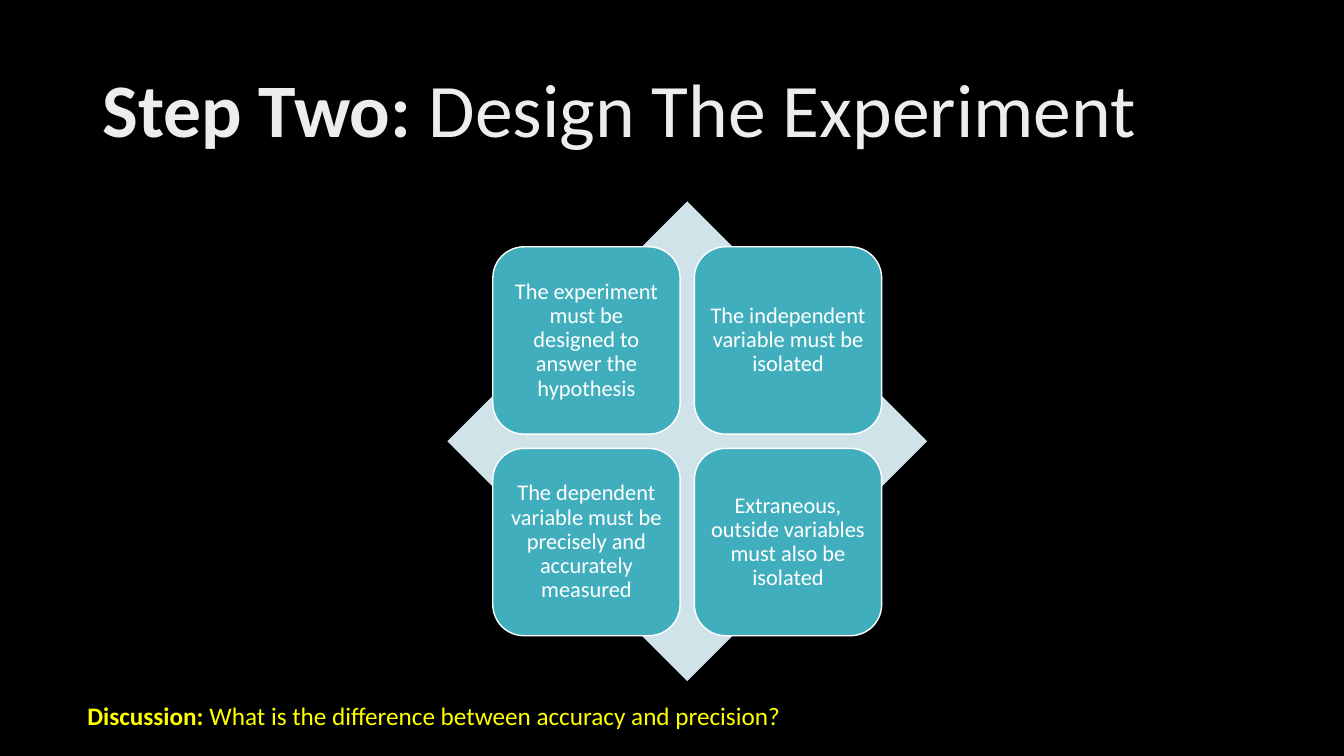
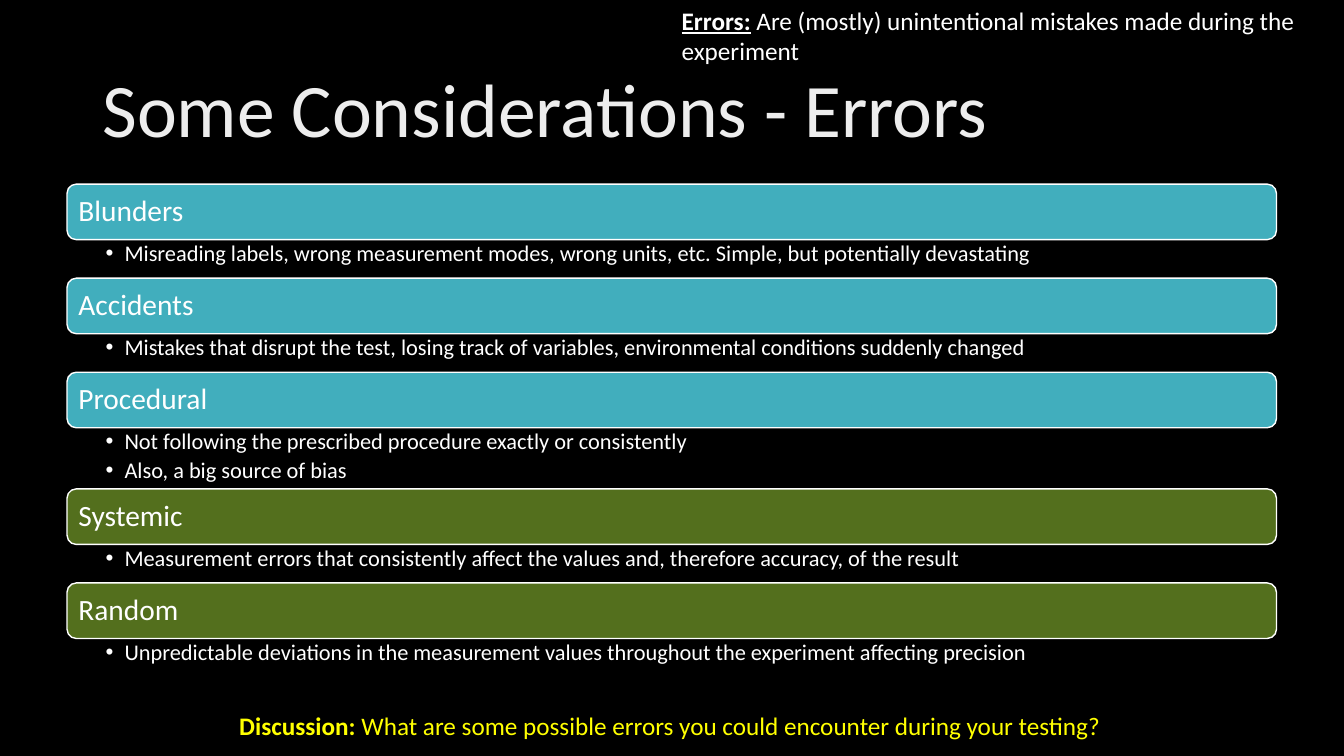
"""Builds two slides on designing an experiment and on its errors."""
from lxml.etree import SubElement
from pptx import Presentation
from pptx.dml.color import RGBColor
from pptx.enum.shapes import MSO_SHAPE
from pptx.enum.text import MSO_ANCHOR, PP_ALIGN
from pptx.oxml.ns import qn
from pptx.util import Cm, Pt

BLACK, WHITE, SILVER, YELLOW = "000000", "FFFFFF", "EDEDED", "FFFF00"
TEAL, GREEN, PALE = "41AEBD", "536F1D", "CFE3E8"
BOLD, PLAIN = {"bold": True}, {}
UNDERLINED = {"bold": True, "underline": True}

DESIGN = {
    "title": [("Step Two: ", BOLD), ("Design The Experiment", PLAIN)],
    "rules": [
        "The experiment must be designed to answer the hypothesis",
        "The independent variable must be isolated",
        "The dependent variable must be precisely and accurately measured",
        "Extraneous, outside variables must also be isolated",
    ],
    "discussion": "What is the difference between accuracy and precision?",
}
ERRORS = {
    "title": [("Some Considerations - Errors", PLAIN)],
    "definition": [
        ("Errors:", UNDERLINED),
        (" Are (mostly) unintentional mistakes made during the experiment", PLAIN),
    ],
    "kinds": [
        ("Blunders", TEAL, ["Misreading labels, wrong measurement modes, wrong units, etc. "
                            "Simple, but potentially devastating"]),
        ("Accidents", TEAL, ["Mistakes that disrupt the test, losing track of variables, "
                             "environmental conditions suddenly changed"]),
        ("Procedural", TEAL, ["Not following the prescribed procedure exactly or consistently",
                              "Also, a big source of bias"]),
        ("Systemic", GREEN, ["Measurement errors that consistently affect the values and, "
                             "therefore accuracy, of the result"]),
        ("Random", GREEN, ["Unpredictable deviations in the measurement values throughout "
                           "the experiment affecting precision"]),
    ],
    "discussion": "What are some possible errors you could encounter during your testing?",
}


def rgb(value):
    """Turns a hex string into a colour."""
    return RGBColor.from_string(value)


def write(sp, paragraphs, size, color=WHITE, insets=(0.25, 0.13, 0.25, 0.13),
          anchor=MSO_ANCHOR.TOP, bullet=False, **layout):
    """Fills a shape with paragraphs, each a list of (text, format) runs."""
    tf = sp.text_frame
    left, top, right, bottom = map(Cm, insets)
    frame = {"word_wrap": True, "vertical_anchor": anchor, "margin_left": left,
             "margin_top": top, "margin_right": right, "margin_bottom": bottom}
    for name, value in frame.items():
        setattr(tf, name, value)
    for i, runs in enumerate(paragraphs):
        p = tf.add_paragraph() if i else tf.paragraphs[0]
        if bullet:
            pPr = p._p.get_or_add_pPr()
            pPr.set("marL", str(Cm(0.48)))
            pPr.set("indent", str(-Cm(0.48)))
            SubElement(pPr, qn("a:buFont"), typeface="Arial")
            SubElement(pPr, qn("a:buChar"), char="•")
        for name, value in {"alignment": PP_ALIGN.LEFT, **layout}.items():
            setattr(p, name, value)
        for text, extra in runs:
            r = p.add_run()
            r.text = text
            for name, value in {"name": "Calibri", "size": Pt(size), **extra}.items():
                setattr(r.font, name, value)
            r.font.color.rgb = rgb(color)


def add_text(s, box, paragraphs, size, **options):
    """Adds a text box."""
    write(s.shapes.add_textbox(*map(Cm, box)), paragraphs, size, **options)


def add_block(s, kind, box, fill, line=None):
    """Adds a filled shape, outlined if a line colour is given."""
    sp = s.shapes.add_shape(kind, *map(Cm, box))
    sp.shadow.inherit = False
    sp.fill.solid()
    sp.fill.fore_color.rgb = rgb(fill)
    if line:
        sp.line.color.rgb = rgb(line)
        sp.line.width = Pt(1)
    else:
        sp.line.fill.background()
    return sp


def add_slide(prs, content, left, top):
    """Adds a slide with its title and its discussion line at left, top."""
    s = prs.slides.add_slide(prs.slide_layouts[6])
    add_text(s, (2.33, 1.01, 29.21, 3.68), [content["title"]], 54, color=SILVER,
             anchor=MSO_ANCHOR.MIDDLE, line_spacing=0.9)
    add_text(s, (left, top, 24.46, 1.03),
             [[("Discussion: ", BOLD), (content["discussion"], PLAIN)]], 18, color=YELLOW)
    return s


def add_matrix(s, rules):
    """Draws a diamond with a two by two grid of rules at its centre."""
    center_x, center_y, diamond, tile, gap = 17.32, 11.12, 12.09, 4.72, 0.36
    add_block(s, MSO_SHAPE.DIAMOND, (center_x - diamond / 2, center_y - diamond / 2,
                                     diamond, diamond), PALE)
    offset = tile + gap / 2
    for i, rule in enumerate(rules):
        row, col = divmod(i, 2)
        box = (center_x - offset + col * (tile + gap),
               center_y - offset + row * (tile + gap), tile, tile)
        sp = add_block(s, MSO_SHAPE.ROUNDED_RECTANGLE, box, TEAL, WHITE)
        write(sp, [[(rule, PLAIN)]], 16, insets=(0.17,) * 4, anchor=MSO_ANCHOR.MIDDLE,
              alignment=PP_ALIGN.CENTER, line_spacing=0.9)


def add_kinds(s, kinds):
    """Stacks a bar and its bulleted details for each kind of error."""
    left, width, top, bar, detail, extra = 1.69, 30.48, 4.64, 1.4, 0.97, 0.57
    for name, fill, points in kinds:
        sp = add_block(s, MSO_SHAPE.ROUNDED_RECTANGLE, (left, top, width, bar), fill, WHITE)
        write(sp, [[(name, PLAIN)]], 21, insets=(0.22,) * 4, anchor=MSO_ANCHOR.MIDDLE,
              line_spacing=0.9)
        height = detail + extra * (len(points) - 1)
        add_text(s, (left, top + bar, width, height), [[(text, PLAIN)] for text in points], 16,
                 insets=(0.97, 0.07, 0.4, 0.07), bullet=True, line_spacing=0.9,
                 space_after=Pt(3.2))
        top += bar + height


def main():
    """Builds and saves the presentation."""
    prs = Presentation()
    prs.slide_width, prs.slide_height = Cm(33.87), Cm(19.05)
    background = prs.slide_master.background.fill
    background.solid()
    background.fore_color.rgb = rgb(BLACK)

    add_matrix(add_slide(prs, DESIGN, 1.95, 17.53), DESIGN["rules"])

    s = add_slide(prs, ERRORS, 5.78, 17.76)
    add_kinds(s, ERRORS["kinds"])
    add_text(s, (16.93, 0, 16.93, 1.8), [ERRORS["definition"]], 18)

    prs.save("out.pptx")


if __name__ == "__main__":
    main()
